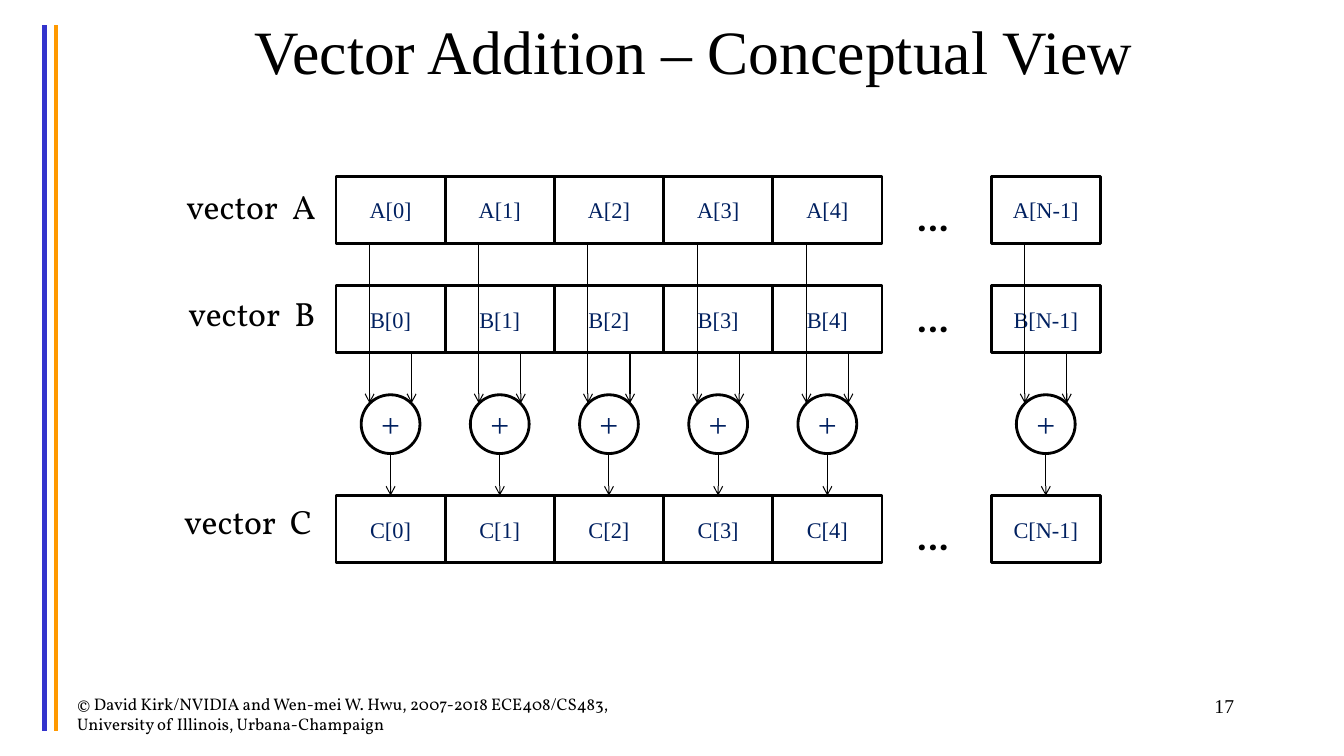
from lxml import etree
from pptx import Presentation
from pptx.dml.color import RGBColor
from pptx.enum.shapes import MSO_CONNECTOR, MSO_SHAPE
from pptx.enum.text import MSO_ANCHOR, PP_ALIGN
from pptx.oxml.ns import qn
from pptx.util import Inches, Pt

RECT, OVAL = MSO_SHAPE.RECTANGLE, MSO_SHAPE.OVAL
STRAIGHT = MSO_CONNECTOR.STRAIGHT
LEFT, CENTER, RIGHT = PP_ALIGN.LEFT, PP_ALIGN.CENTER, PP_ALIGN.RIGHT
TOP, MIDDLE = MSO_ANCHOR.TOP, MSO_ANCHOR.MIDDLE

COLORS = {"ink": "000000", "paper": "FFFFFF", "value": "002060",
          "blue": "3333CC", "orange": "FF9900"}
SERIF, BOOK = "Times New Roman", "Vollkorn"

# Grid: 160 columns by 90 rows, twelve units to the inch
UNIT = Inches(1) / 12
COLS, ROWS = 160, 90
CELL_W, CELL_H, CIRCLE = 13, 8, 7
FIRST_COL, SUM_ROW = 40, 47
ELEMENTS = {0: "0", 1: "1", 2: "2", 3: "3", 4: "4", 6: "N-1"}

# Vector name: (row of cells, label column, label row, dots row)
VECTORS = {"A": (21, 21, 21.5, 23),
           "B": (34, 21.25, 34.25, 35),
           "C": (59, 20.75, 59, 61)}


def grid(*units):
    return [round(u * UNIT) for u in units]


def rgb(name):
    return RGBColor.from_string(COLORS[name])


def write(s, text, size=24, font=BOOK, color="ink", bold=False,
          align=LEFT, anchor=TOP, wrap=True, tab=None):
    tf = s.text_frame
    tf.word_wrap = wrap
    tf.vertical_anchor = anchor
    p = tf.paragraphs[0]
    p.alignment = align
    if tab:
        stops = etree.SubElement(p._p.get_or_add_pPr(), qn("a:tabLst"))
        etree.SubElement(stops, qn("a:tab"), pos=str(Inches(tab)), algn="l")
    r = p.add_run()
    r.text = text
    r.font.size = Pt(size)
    r.font.name = font
    r.font.bold = bold
    r.font.color.rgb = rgb(color)


def add_text(s, x, y, w, h, text, **fmt):
    write(s.shapes.add_textbox(*grid(x, y, w, h)), text, **fmt)


def add_box(s, kind, x, y, w, h, text, size):
    sp = s.shapes.add_shape(kind, *grid(x, y, w, h))
    sp.shadow.inherit = False
    sp.fill.solid()
    sp.fill.fore_color.rgb = rgb("paper")
    sp.line.color.rgb = rgb("ink")
    sp.line.width = Pt(2)
    write(sp, text, size=size, font=SERIF, color="value",
          align=CENTER, anchor=MIDDLE)


def add_line(s, x, y1, y2, color="ink", width=0.75, arrow=True):
    c = s.shapes.add_connector(STRAIGHT, *grid(x, y1, x, y2))
    c.line.color.rgb = rgb(color)
    c.line.width = Pt(width)
    if arrow:
        etree.SubElement(c.line._get_or_add_ln(), qn("a:tailEnd"), type="arrow")
    etree.SubElement(c._element.spPr, qn("a:effectLst"))


def add_vector(s, name):
    row, label_col, label_row, dots_row = VECTORS[name]
    add_text(s, label_col, label_row, 21, 6, f"vector\t{name}", tab=1.05)
    for slot, index in ELEMENTS.items():
        add_box(s, RECT, FIRST_COL + slot * CELL_W, row, CELL_W, CELL_H,
                f"{name}[{index}]", 16)
    add_text(s, 108, dots_row, 6.5, 6, "…", bold=True, wrap=False)


def add_sum(s, slot):
    x = FIRST_COL + slot * CELL_W
    row_a, row_b, row_c = (v[0] for v in VECTORS.values())
    add_box(s, OVAL, x + 3, SUM_ROW, CIRCLE, CIRCLE, "+", 24)
    add_line(s, x + 4, row_a + CELL_H, SUM_ROW + 1)
    add_line(s, x + 9, row_b + CELL_H, SUM_ROW + 1)
    add_line(s, x + CELL_W / 2, SUM_ROW + CIRCLE, row_c)


def main():
    prs = Presentation()
    prs.slide_width, prs.slide_height = grid(COLS, ROWS)
    s = prs.slides.add_slide(prs.slide_layouts[6])

    # Stripes at the left edge
    for x, color in ((5.3, "blue"), (6.7, "orange")):
        add_line(s, x, 3, 87, color, 3, arrow=False)

    # Vectors, then the additions that join them
    for name in VECTORS:
        add_vector(s, name)
    for slot in ELEMENTS:
        add_sum(s, slot)

    # Title and footer
    add_text(s, 8, 0, 149.3, 11.9, "Vector Addition – Conceptual View",
             size=44, font=SERIF, align=CENTER, anchor=MIDDLE)
    add_text(s, 114.7, 82, 33.4, 6, "17", size=14, font=SERIF, align=RIGHT)
    add_text(s, 8, 82, 73.3, 6,
             "© David Kirk/NVIDIA and Wen-mei W. Hwu, 2007-2018 "
             "ECE408/CS483, University of Illinois, Urbana-Champaign", size=12)

    prs.save("out.pptx")


if __name__ == "__main__":
    main()
